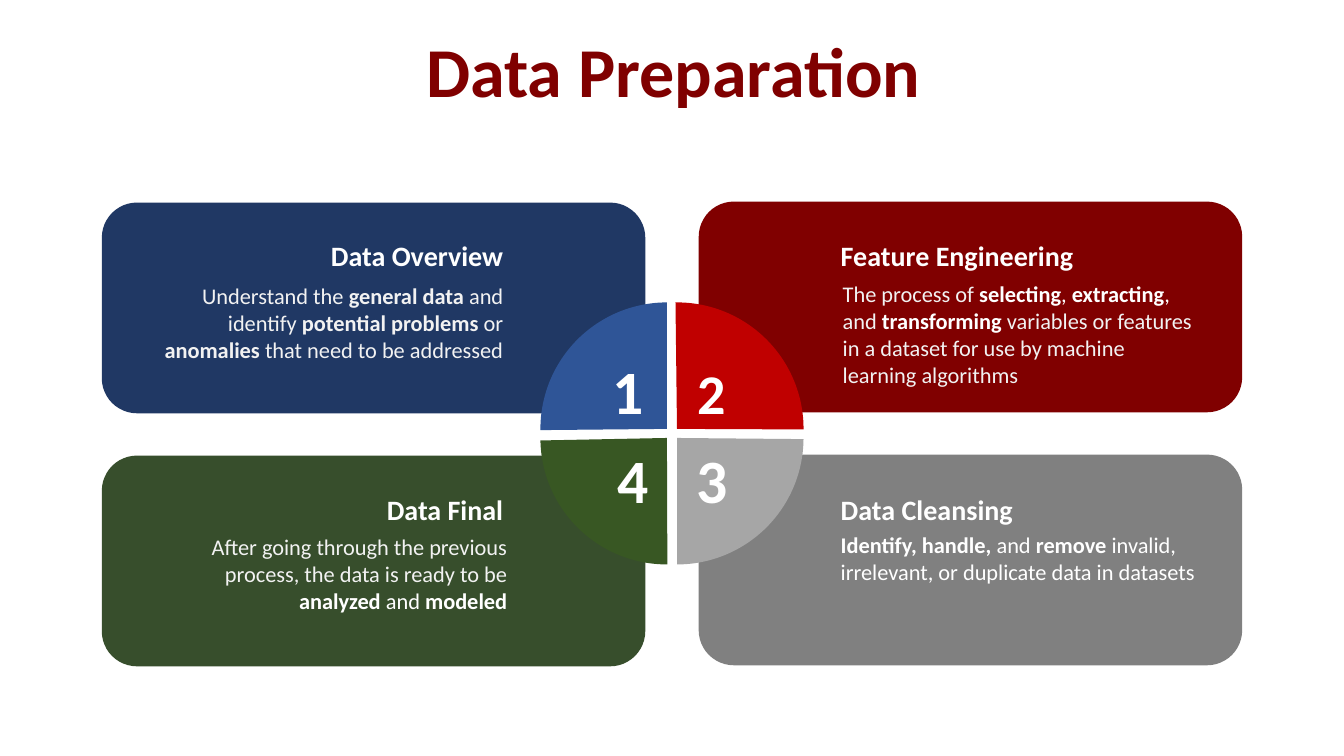
from collections import namedtuple

from pptx import Presentation
from pptx import util as u
from pptx.dml.color import RGBColor
from pptx.enum import shapes, text

PX = 9144
FONT = "Calibri"
WHITE = "FFFFFF"
LIGHT = "F2F2F2"
LEFT, CENTER, RIGHT = text.PP_ALIGN.LEFT, text.PP_ALIGN.CENTER, text.PP_ALIGN.RIGHT
TOP, MIDDLE = text.MSO_ANCHOR.TOP, text.MSO_ANCHOR.MIDDLE

CARD_SIZE = (539, 209)
PIE_SIZE = (251, 251)
HEADING_SIZE = (376, 44)

Step = namedtuple("Step", "card card_color pie angles pie_color number number_box number_size "
                          "heading heading_at body body_box align")

STEPS = [
    Step((101, 201), "203864", (536, 300), (179.45, 270), "2F5597",
         "1 ", (597, 350, 66, 74), 44, "Data Overview", (133, 231),
         [("Understand the ", False, LIGHT), ("general data ", True, LIGHT),
          ("and identify ", False, LIGHT), ("potential problems", True, LIGHT),
          (" or ", False, LIGHT), ("anomalies", True, LIGHT),
          (" that need to be addressed", False, LIGHT)],
         (133, 275, 376, 91), RIGHT),
    Step((693, 200), "800000", (546, 300), (269.31, 0.25), "C00000",
         "2", (673, 356, 66, 67), 40, "Feature Engineering", (824, 231),
         [("The process of ", False, LIGHT), ("selecting", True, WHITE),
          (", ", False, WHITE), ("extracting", True, WHITE),
          (", ", False, WHITE), ("and ", False, LIGHT),
          ("transforming ", True, WHITE),
          ("variables or features in a dataset for use by machine learning algorithms",
           False, LIGHT)],
         (826, 273, 376, 118), LEFT),
    Step((693, 451), "808080", (546, 309), (0.53, 89.96), "A6A6A6",
         "3", (673, 438, 66, 74), 44, "Data Cleansing", (824, 483),
         [("Identify, handle, ", True, WHITE), ("and", False, WHITE),
          (" remove ", True, WHITE),
          ("invalid, irrelevant, or duplicate data in datasets", False, WHITE)],
         (824, 522, 376, 64), LEFT),
    Step((101, 452), "374E2C", (536, 309), (89.8, 178.86), "385723",
         "4", (595, 438, 66, 74), 44, "Data Final", (133, 483),
         [("After going through the previous process, the data is ready to be ", False, LIGHT),
          ("analyzed", True, WHITE), (" and ", False, WHITE), ("modeled", True, WHITE)],
         (137, 524, 376, 91), RIGHT),
]


def color(value):
    return RGBColor.from_string(value)


def emu(box):
    return [u.Emu(length * PX) for length in box]


def add_filled_shape(slide, kind, box, fill):
    shape = slide.shapes.add_shape(kind, *emu(box))
    shape.shadow.inherit = False
    shape.fill.solid()
    shape.fill.fore_color.rgb = color(fill)
    shape.line.fill.background()
    return shape


def add_pie(slide, box, angles, fill):
    pie = add_filled_shape(slide, shapes.MSO_SHAPE.PIE, box, fill)
    for index, degrees in enumerate(angles):
        pie.adjustments[index] = degrees * 0.6


def add_text(slide, box, runs, size, align, anchor=MIDDLE, grow=True):
    shape = slide.shapes.add_textbox(*emu(box))
    frame = shape.text_frame
    frame.word_wrap = True
    frame.vertical_anchor = anchor
    if grow:
        frame.auto_size = text.MSO_AUTO_SIZE.SHAPE_TO_FIT_TEXT
    paragraph = frame.paragraphs[0]
    paragraph.alignment = align
    for words, bold, run_color in runs:
        run = paragraph.add_run()
        run.text = words
        run.font.name = FONT
        run.font.size = u.Pt(size)
        run.font.bold = bold
        run.font.color.rgb = color(run_color)
    return frame


def add_title(slide):
    frame = add_text(slide, (35, 37, 1266, 79), [("Data Preparation", True, "800000")],
                     50, CENTER, grow=False)
    frame.paragraphs[0].line_spacing = 0.8
    frame.paragraphs[0].space_before = u.Pt(10)


def add_number(slide, step):
    frame = add_text(slide, step.number_box, [(step.number, True, WHITE)],
                     step.number_size, CENTER)
    frame.margin_top = frame.margin_bottom = 0


def add_description(slide, step):
    add_text(slide, step.heading_at + HEADING_SIZE, [(step.heading, True, WHITE)], 20, step.align)
    add_text(slide, step.body_box, step.body, 16, step.align, TOP)


def main():
    presentation = Presentation()
    presentation.slide_width, presentation.slide_height = emu((1333, 750))
    slide = presentation.slides.add_slide(presentation.slide_layouts[6])
    add_title(slide)
    for step in STEPS:
        add_filled_shape(slide, shapes.MSO_SHAPE.ROUNDED_RECTANGLE,
                         step.card + CARD_SIZE, step.card_color)
    for step in STEPS:
        add_pie(slide, step.pie + PIE_SIZE, step.angles, step.pie_color)
    for step in STEPS:
        add_number(slide, step)
        add_description(slide, step)
    presentation.save("out.pptx")


if __name__ == "__main__":
    main()
